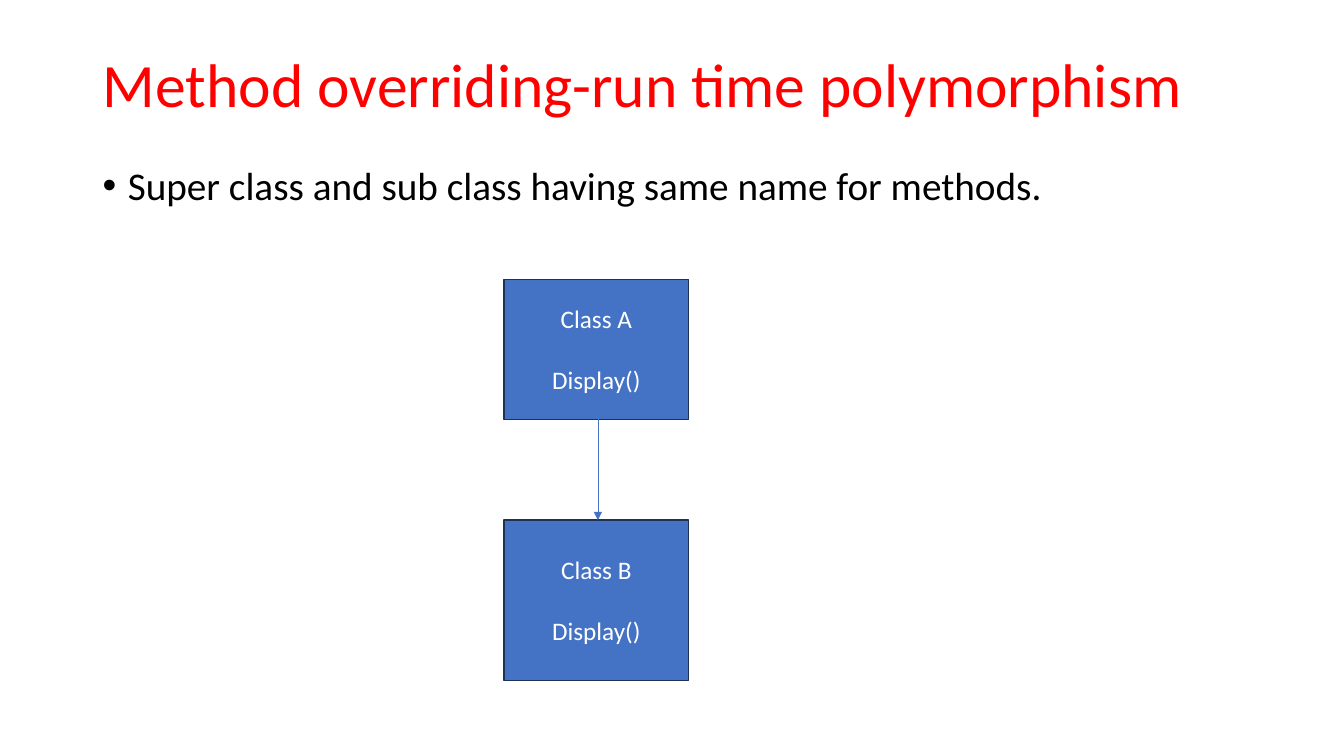
import dataclasses

import lxml.etree
import pptx
import pptx.dml.color
import pptx.enum.shapes
import pptx.enum.text
import pptx.oxml.ns
import pptx.util
from pptx.util import Inches

COLOURS = {
    "title": "FF0000",
    "body": "000000",
    "box": "4472C4",
    "box_line": "1E3256",
    "box_text": "FFFFFF",
}
FONT = "Calibri"
MARGIN_LEFT, CONTENT_WIDTH = 0.92, 11.5
BOX_LEFT, BOX_WIDTH = 5, 1.83
ARROW_X = 5.93


@dataclasses.dataclass(frozen=True)
class ClassBox:
    name: str
    method: str
    top: float
    height: float


CLASS_BOXES = [
    ClassBox("Class A", "Display()", 2.77, 1.39),
    ClassBox("Class B", "Display()", 5.16, 1.59),
]


def rgb(name: str) -> pptx.dml.color.RGBColor:
    return pptx.dml.color.RGBColor.from_string(COLOURS[name])


def write_text(frame, lines: list[str], *, size: float, colour: str,
               align=pptx.enum.text.PP_ALIGN.LEFT,
               anchor=pptx.enum.text.MSO_ANCHOR.TOP,
               line_spacing: float = 1.0, first_space: float = 0,
               paragraph_gap: float = 0) -> None:
    """Fill a text frame with one paragraph per line; spaces are in points."""
    frame.word_wrap = True
    frame.auto_size = pptx.enum.text.MSO_AUTO_SIZE.NONE
    frame.vertical_anchor = anchor
    for index, line in enumerate(lines):
        paragraph = frame.add_paragraph() if index else frame.paragraphs[0]
        paragraph.alignment = align
        paragraph.line_spacing = line_spacing
        paragraph.space_before = pptx.util.Pt(paragraph_gap if index else first_space)
        run = paragraph.add_run()
        run.text = line
        run.font.name = FONT
        run.font.size = pptx.util.Pt(size)
        run.font.color.rgb = rgb(colour)


def add_bullet(paragraph, indent: float) -> None:
    properties = paragraph._p.get_or_add_pPr()
    properties.set("marL", str(Inches(indent)))
    properties.set("indent", str(-Inches(indent)))
    for tag, name, value in (("a:buFont", "typeface", "Arial"), ("a:buChar", "char", "•")):
        lxml.etree.SubElement(properties, pptx.oxml.ns.qn(tag)).set(name, value)


def add_title(slide, text: str) -> None:
    title = slide.shapes.title
    title.left, title.top = Inches(MARGIN_LEFT), Inches(0.4)
    title.width, title.height = Inches(CONTENT_WIDTH), Inches(0.94)
    write_text(title.text_frame, [text], size=44, colour="title",
               anchor=pptx.enum.text.MSO_ANCHOR.MIDDLE, line_spacing=0.9)


def add_body(slide, text: str) -> None:
    body = slide.shapes.add_textbox(
        Inches(MARGIN_LEFT), Inches(1.6), Inches(CONTENT_WIDTH), Inches(5.15))
    write_text(body.text_frame, [text], size=28, colour="body",
               line_spacing=0.9, first_space=10)
    add_bullet(body.text_frame.paragraphs[0], 0.25)


def add_class_box(slide, box: ClassBox) -> None:
    shape = slide.shapes.add_shape(
        pptx.enum.shapes.MSO_SHAPE.RECTANGLE, Inches(BOX_LEFT), Inches(box.top),
        Inches(BOX_WIDTH), Inches(box.height))
    shape.shadow.inherit = False
    shape.fill.solid()
    shape.fill.fore_color.rgb = rgb("box")
    shape.line.color.rgb = rgb("box_line")
    shape.line.width = pptx.util.Pt(1)
    write_text(shape.text_frame, [box.name, box.method], size=18, colour="box_text",
               align=pptx.enum.text.PP_ALIGN.CENTER,
               anchor=pptx.enum.text.MSO_ANCHOR.MIDDLE, paragraph_gap=22)


def add_arrow(slide, upper: ClassBox, lower: ClassBox) -> None:
    arrow = slide.shapes.add_connector(
        pptx.enum.shapes.MSO_CONNECTOR.STRAIGHT, Inches(ARROW_X),
        Inches(upper.top + upper.height), Inches(ARROW_X), Inches(lower.top))
    arrow.line.color.rgb = rgb("box")
    arrow.line.width = pptx.util.Pt(0.5)
    line = arrow.line._get_or_add_ln()
    lxml.etree.SubElement(line, pptx.oxml.ns.qn("a:tailEnd")).set("type", "triangle")
    lxml.etree.SubElement(arrow._element.spPr, pptx.oxml.ns.qn("a:effectLst"))


def main() -> None:
    presentation = pptx.Presentation()
    presentation.slide_width = Inches(13.33)
    presentation.slide_height = Inches(7.5)
    title_only = presentation.slide_layouts.get_by_name("Title Only")
    slide = presentation.slides.add_slide(title_only)

    add_title(slide, "Method overriding-run time polymorphism")
    add_body(slide, "Super class and sub class having same name for methods.")
    for box in CLASS_BOXES:
        add_class_box(slide, box)
    for upper, lower in zip(CLASS_BOXES, CLASS_BOXES[1:]):
        add_arrow(slide, upper, lower)

    presentation.save("out.pptx")


if __name__ == "__main__":
    main()
